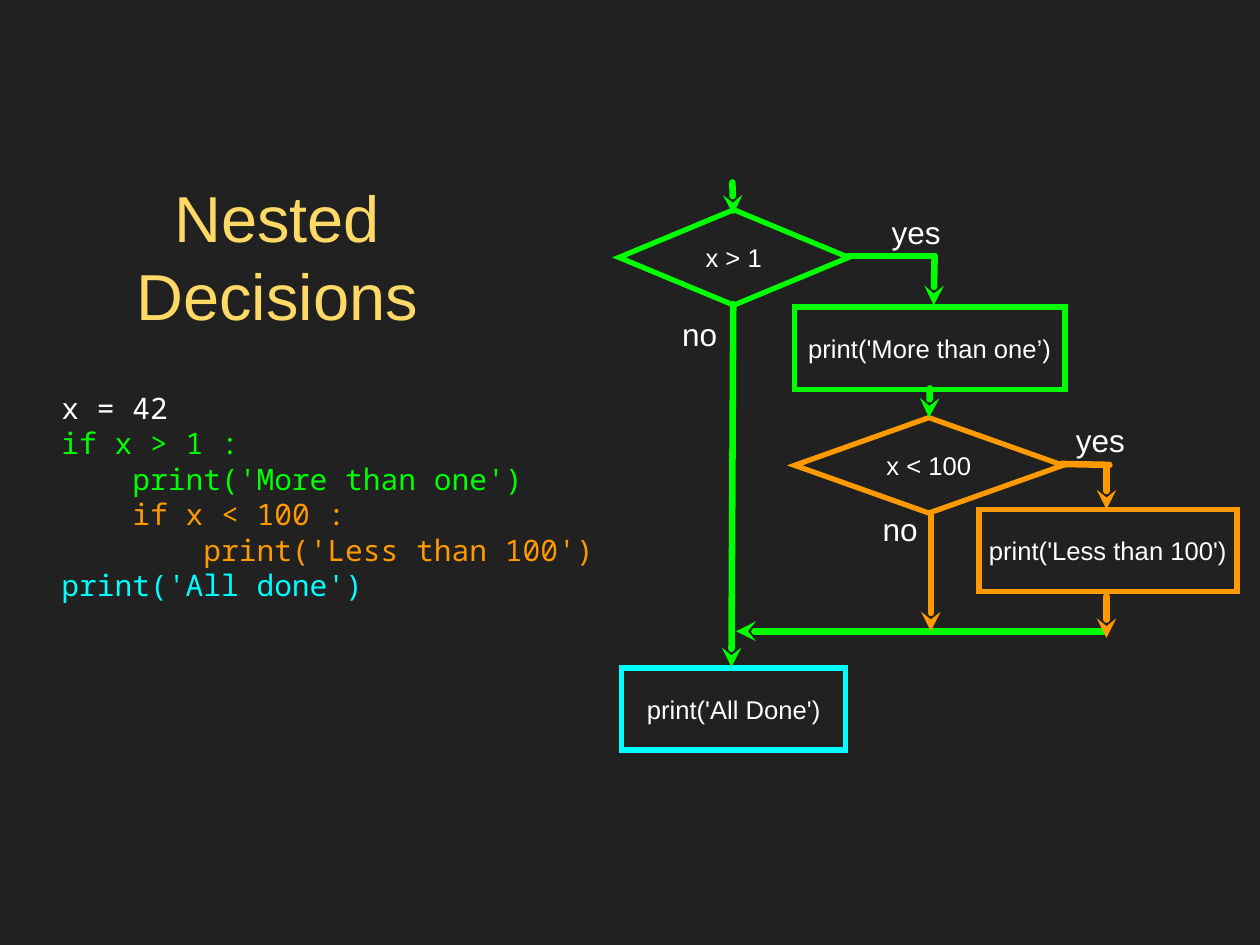
import pptx
import pptx.util
import pptx.dml.color
import pptx.enum.shapes
import pptx.enum.text
import pptx.oxml.ns
from lxml import etree

Pt = pptx.util.Pt
SHAPES = pptx.enum.shapes.MSO_SHAPE
ALIGN = pptx.enum.text.PP_ALIGN

COLORS = {"background": "212121", "white": "FFFFFF", "title": "FFD966",
          "green": "00FF00", "orange": "FF9900", "cyan": "00FFFF"}
BODY_FONT, CODE_FONT = "Arial", "Noto Sans Mono"

TITLE = [[("Nested Decisions", "title")]]
CODE = [
    [("x = 42", "white")],
    [("if x > 1 :", "green")],
    [("    print('More than one')", "green")],
    [("    ", "white"), ("if x < 100 :", "orange")],
    [("        print('Less than 100')", "orange")],
    [("print('All done')", "cyan")],
]

DECISION_HEIGHT, STEP_HEIGHT = 72.7, 62.6
DECISIONS = [
    ("x > 1", "green", 471.6, 159.8, 175),
    ("x < 100", "orange", 605.5, 318.2, 204.5),
]
STEPS = [
    ("print('More than one\u2019)", "green", 605.5, 234, 205.9),
    ("print('Less than 100')", "orange", 745.9, 388.1, 196.6),
    ("print('All Done')", "cyan", 473.8, 509, 170.6),
]

LABEL_HEIGHT = 27.4
LABELS = [
    ("yes", 671, 162.7, 54),
    ("yes", 811.4, 321.8, 54),
    ("no", 671.3, 389.5, 29),
    ("no", 518.6, 240.5, 29),
]

FLOWS = [
    ("green", (558.7, 163.4), (558, 139), True),
    ("green", (645.8, 195.1), (712.1, 195.1), False),
    ("green", (711.4, 232.6), (712.1, 195.1), True),
    ("green", (557.3, 508.3), (558.7, 231.8), True),
    ("orange", (808.6, 353.5), (845.3, 354.2), False),
    ("orange", (843.1, 388.1), (843.1, 356.4), True),
    ("green", (707.8, 318.2), (708.5, 295.9), True),
    ("green", (560.9, 481), (841, 481), True),
    ("orange", (709.2, 481), (709.2, 392.4), True),
    ("orange", (843.1, 486), (843.1, 454.3), True),
]


def color(name):
    return pptx.dml.color.RGBColor.from_string(COLORS[name])


def write(shape, paragraphs, size, font=BODY_FONT, align=ALIGN.CENTER,
          margin=0, wrap=True, spacing=None):
    frame = shape.text_frame
    frame.word_wrap = wrap
    frame.vertical_anchor = pptx.enum.text.MSO_ANCHOR.MIDDLE
    frame.margin_left = frame.margin_right = Pt(margin)
    frame.margin_top = frame.margin_bottom = Pt(margin)
    for index, runs in enumerate(paragraphs):
        paragraph = frame.add_paragraph() if index else frame.paragraphs[0]
        paragraph.alignment = align
        if spacing:
            paragraph.line_spacing = Pt(spacing)
        for text, tone in runs:
            run = paragraph.add_run()
            run.text = text
            run.font.size = Pt(size)
            run.font.name = font
            run.font.color.rgb = color(tone)


def add_text(box, paragraphs, size, **options):
    shape = slide.shapes.add_textbox(*map(Pt, box))
    write(shape, paragraphs, size, **options)


def add_node(kind, text, tone, left, top, width, height):
    shape = slide.shapes.add_shape(kind, Pt(left), Pt(top), Pt(width), Pt(height))
    shape.shadow.inherit = False
    shape.fill.background()
    shape.line.color.rgb = color(tone)
    shape.line.width = Pt(4)
    miter = etree.SubElement(shape.line._get_or_add_ln(), pptx.oxml.ns.qn("a:miter"))
    miter.set("lim", "800000")
    write(shape, [[(text, "white")]], 19.5, wrap=False)


def add_flow(tone, start, end, arrow):
    connector = slide.shapes.add_connector(
        pptx.enum.shapes.MSO_CONNECTOR.STRAIGHT, *map(Pt, start + end))
    connector.line.color.rgb = color(tone)
    connector.line.width = Pt(5)
    line = connector.line._get_or_add_ln()
    line.set("cap", "rnd")
    etree.SubElement(line, pptx.oxml.ns.qn("a:round"))
    if arrow:
        head = etree.SubElement(line, pptx.oxml.ns.qn("a:headEnd"))
        head.set("type", "stealth")
    etree.SubElement(connector._element.spPr, pptx.oxml.ns.qn("a:effectLst"))


presentation = pptx.Presentation()
presentation.slide_width, presentation.slide_height = Pt(960), Pt(720)
slide = presentation.slides.add_slide(presentation.slide_layouts[6])
slide.background.fill.solid()
slide.background.fill.fore_color.rgb = color("background")

add_text((46.8, 279.9, 410.4, 196.6), CODE, 22.5, font=CODE_FONT,
         align=ALIGN.LEFT, spacing=27)
add_text((69.1, 130.3, 284.4, 128.2), TITLE, 49.5, margin=2, spacing=59.4)

for kind, height, nodes in ((SHAPES.DIAMOND, DECISION_HEIGHT, DECISIONS),
                            (SHAPES.RECTANGLE, STEP_HEIGHT, STEPS)):
    for node in nodes:
        add_node(kind, *node, height)
for flow in FLOWS:
    add_flow(*flow)
for text, *box in LABELS:
    add_text((*box, LABEL_HEIGHT), [[(text, "white")]], 24, wrap=False)

presentation.save("out.pptx")
